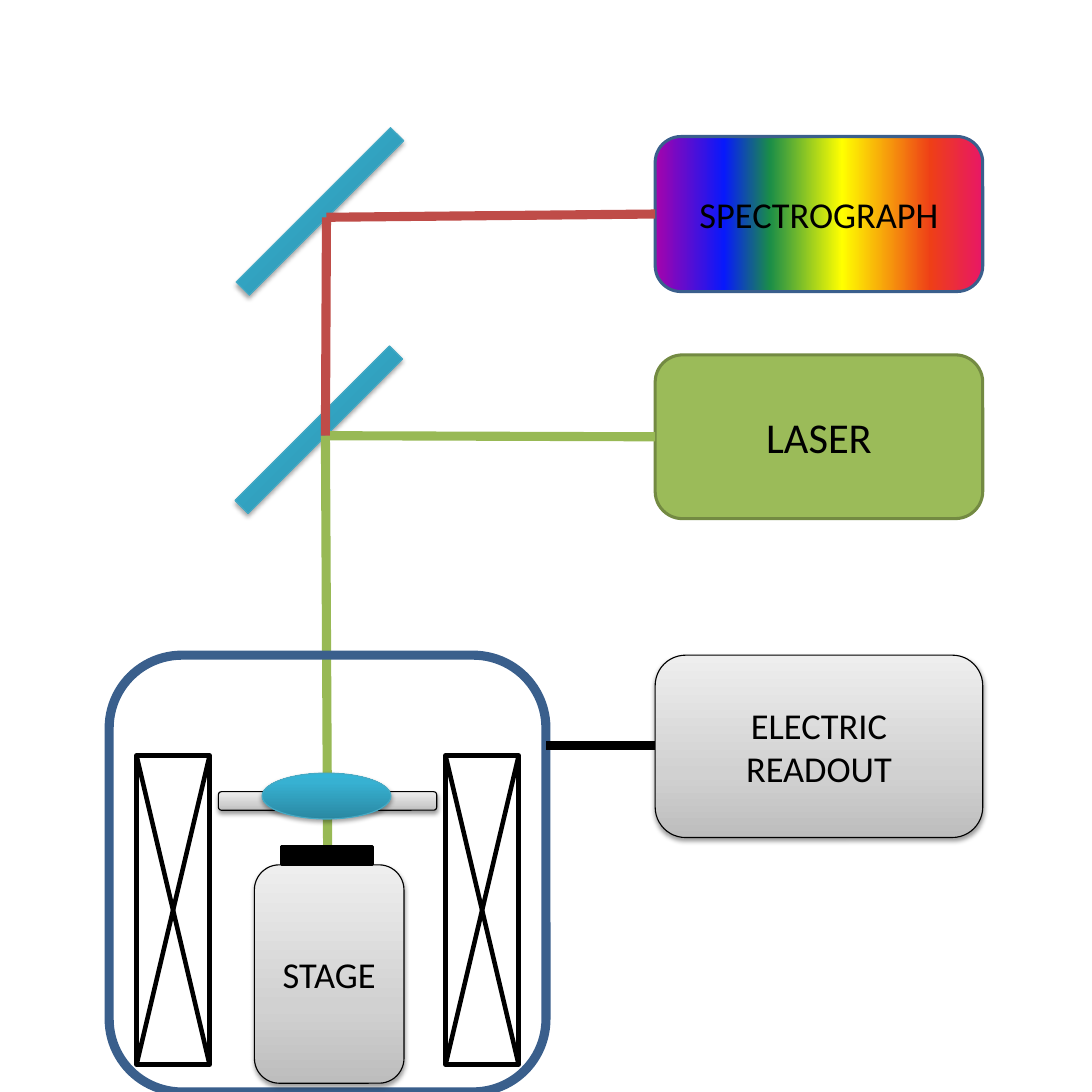
from lxml.etree import SubElement
from pptx import Presentation
from pptx.dml.color import RGBColor
from pptx.enum.shapes import MSO_CONNECTOR, MSO_SHAPE
from pptx.enum.text import MSO_ANCHOR, PP_ALIGN
from pptx.oxml.ns import qn
from pptx.util import Inches, Pt

rgb = RGBColor.from_string
ROUNDED, RECTANGLE = MSO_SHAPE.ROUNDED_RECTANGLE, MSO_SHAPE.RECTANGLE
BLACK, NAVY, GREEN_BEAM, RED_BEAM = "000000", "3A5F8C", "98B955", "BF4C48"
RAINBOW = [(0, "A603AB"), (21, "0819FB"), (35, "1A8D48"),
           (57, "FFFF00"), (84, "EE3F17"), (100, "E81766")]
METAL = {"fill": [(0, "BDBDBD"), (35, "D1D1D1"), (100, "EEEEEE")],
         "angle": 90, "line": BLACK, "width": 0.75, "shadow": 38}
GLASS = {"fill": [(0, "2A88A2"), (80, "37B1D2"), (100, "34B4D6")],
         "angle": 90, "line": "46AAC5", "width": 0.75, "shadow": 35}

presentation = Presentation()
presentation.slide_width = presentation.slide_height = Inches(10)
slide = presentation.slides.add_slide(presentation.slide_layouts[6])


def add_box(kind, box, line, width, fill=None, angle=0, shadow=0, text="", size=24):
    """Add a shape; fill is None, a hex colour or a list of gradient stops."""
    shape = slide.shapes.add_shape(kind, *map(Inches, box))
    shape.line.color.rgb = rgb(line)
    shape.line.width = Pt(width)
    shape.shadow.inherit = False
    properties = shape._element.spPr
    if fill is None:
        shape.fill.background()
    elif isinstance(fill, str):
        shape.fill.solid()
        shape.fill.fore_color.rgb = rgb(fill)
    else:
        shape.fill.gradient()
        shape.fill.gradient_angle = angle
        stops = properties.find(".//" + qn("a:gsLst"))
        stops.clear()
        for position, color in fill:
            stop = SubElement(stops, qn("a:gs"), pos=str(position * 1000))
            SubElement(stop, qn("a:srgbClr"), val=color)
    if shadow:
        outer = SubElement(properties.find(qn("a:effectLst")), qn("a:outerShdw"),
                           blurRad=str(Pt(3.1)), dist=str(Pt(1.8)),
                           dir="5400000", rotWithShape="0")
        color = SubElement(outer, qn("a:srgbClr"), val=BLACK)
        SubElement(color, qn("a:alpha"), val=str(shadow * 1000))
    if text:
        frame = shape.text_frame
        frame.word_wrap = True
        frame.vertical_anchor = MSO_ANCHOR.MIDDLE
        paragraph = frame.paragraphs[0]
        paragraph.alignment = PP_ALIGN.CENTER
        run = paragraph.add_run()
        run.text = text
        run.font.color.rgb = rgb(BLACK)
        for name, value in {"name": "Calibri", "size": Pt(size)}.items():
            setattr(run.font, name, value)
    return shape


def add_line(start, end, color, width=6):
    """Add a straight line between two points given in inches."""
    line = slide.shapes.add_connector(MSO_CONNECTOR.STRAIGHT,
                                      *map(Inches, (*start, *end)))
    line.line.color.rgb = rgb(color)
    line.line.width = Pt(width)
    SubElement(line._element.spPr, qn("a:effectLst"))


# Light sources and detectors
add_box(ROUNDED, (6, 3.25, 3, 1.5), "738A42", 2, "9BBB59", text="LASER", size=28)
add_box(ROUNDED, (6, 1.25, 3, 1.42), NAVY, 2, RAINBOW, text="SPECTROGRAPH")

# Mirrors
for left, top in [(1.92, 3.85), (1.93, 1.85)]:
    mirror = add_box(RECTANGLE, (left, top, 2, 0.17), **GLASS)
    mirror.rotation = 315

# Beams
splitter, upper_mirror = (2.98, 3.99), (2.99, 1.99)
for start, end, color in [
    ((6, 4), splitter, GREEN_BEAM),
    (splitter, (3, 7.75), GREEN_BEAM),
    (splitter, upper_mirror, RED_BEAM),
    ((6, 1.96), upper_mirror, RED_BEAM),
]:
    add_line(start, end, color)

# Chamber with stage, sample and lens
add_box(ROUNDED, (1, 6, 4, 4), NAVY, 6)
add_box(ROUNDED, (2.33, 7.92, 1.37, 2), text="STAGE", **METAL)
add_box(RECTANGLE, (2.58, 7.75, 0.83, 0.17), BLACK, 2, BLACK)
add_box(ROUNDED, (2, 7.25, 2, 0.17), **METAL)
add_box(MSO_SHAPE.OVAL, (2.4, 7.08, 1.18, 0.42), **GLASS)

# Magnet coils, each a crossed rectangle
coil_top, coil_width, coil_height = 6.92, 0.67, 2.83
coil_bottom = coil_top + coil_height
for left in (4.08, 1.25):
    right = left + coil_width
    add_box(RECTANGLE, (left, coil_top, coil_width, coil_height), BLACK, 3)
    add_line((left, coil_top), (right, coil_bottom), BLACK, 3)
    add_line((right, coil_top), (left, coil_bottom), BLACK, 3)

# Electric readout
add_box(ROUNDED, (6, 6, 3, 1.67), text="ELECTRIC READOUT", **METAL)
add_line((6, 6.83), (5, 6.83), BLACK)

presentation.save("out.pptx")
